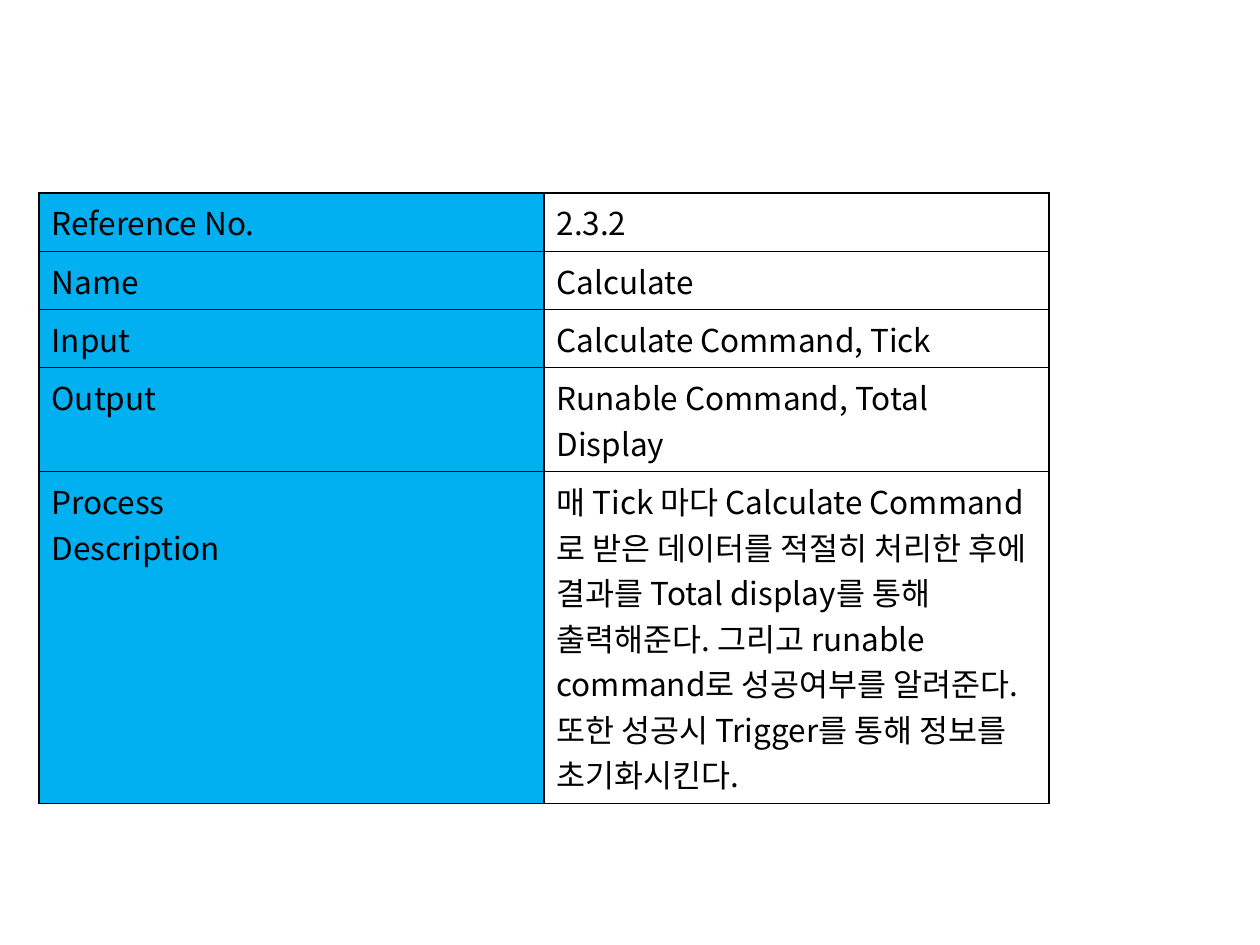
from lxml import etree
from pptx import Presentation
from pptx.dml.color import RGBColor
from pptx.oxml.ns import qn
from pptx.util import Pt

PX = 914400 / 126
FONT = "Noto Sans CJK KR"
COLORS = {"text": "000000", "border": "000000", "label": "00B0F0", "value": "FFFFFF"}
BORDER_SIDES = ("a:lnL", "a:lnR", "a:lnT", "a:lnB")
PROCESS_ROWS = [
    ("Reference No.", "2.3.2"),
    ("Name", "Calculate"),
    ("Input", "Calculate Command, Tick"),
    ("Output", "Runable Command, Total Display"),
    (
        "Process\nDescription",
        "매 Tick 마다 Calculate Command로 받은 데이터를 적절히 처리한 후에 결과를 "
        "Total display를 통해 출력해준다. 그리고 runable command로 성공여부를 알려준다. "
        "또한 성공시 Trigger를 통해 정보를 초기화시킨다.",
    ),
]


def emu(px):
    return round(px * PX)


def write_text(frame, text, size=18, color="text", font=FONT):
    for index, line in enumerate(text.split("\n")):
        para = frame.add_paragraph() if index else frame.paragraphs[0]
        span = para.add_run()
        span.text = line
        span.font.size = Pt(size)
        span.font.color.rgb = RGBColor.from_string(COLORS[color])
        span.font.name = font
        etree.SubElement(span.font._element, qn("a:ea"), typeface=font)


class SlideBuilder:
    """Holds the style and the current slide, and adds elements to it."""

    def __init__(self, slide, border_width=1):
        self.slide = slide
        self.border_width = border_width

    def add_borders(self, cell):
        properties = cell._tc.get_or_add_tcPr()
        for side in BORDER_SIDES:
            line = etree.SubElement(properties, qn(side), w=str(Pt(self.border_width)))
            fill = etree.SubElement(line, qn("a:solidFill"))
            etree.SubElement(fill, qn("a:srgbClr"), val=COLORS["border"])

    def add_table(self, rows, left, top, column_width, row_height):
        columns = len(rows[0])
        table = self.slide.shapes.add_table(
            len(rows), columns, emu(left), emu(top),
            emu(column_width * columns), emu(row_height * len(rows)),
        ).table
        table.first_row = False
        table.horz_banding = False
        for row_index, row in enumerate(rows):
            for column_index, text in enumerate(row):
                cell = table.cell(row_index, column_index)
                self.add_borders(cell)
                cell.fill.solid()
                fill = COLORS["value" if column_index else "label"]
                cell.fill.fore_color.rgb = RGBColor.from_string(fill)
                write_text(cell.text_frame, text)


def main():
    deck = Presentation()
    deck.slide_width, deck.slide_height = emu(1260), emu(945)
    builder = SlideBuilder(deck.slides.add_slide(deck.slide_layouts[6]))
    builder.add_table(PROCESS_ROWS, left=39, top=193, column_width=505, row_height=52)
    deck.save("out.pptx")


if __name__ == "__main__":
    main()
